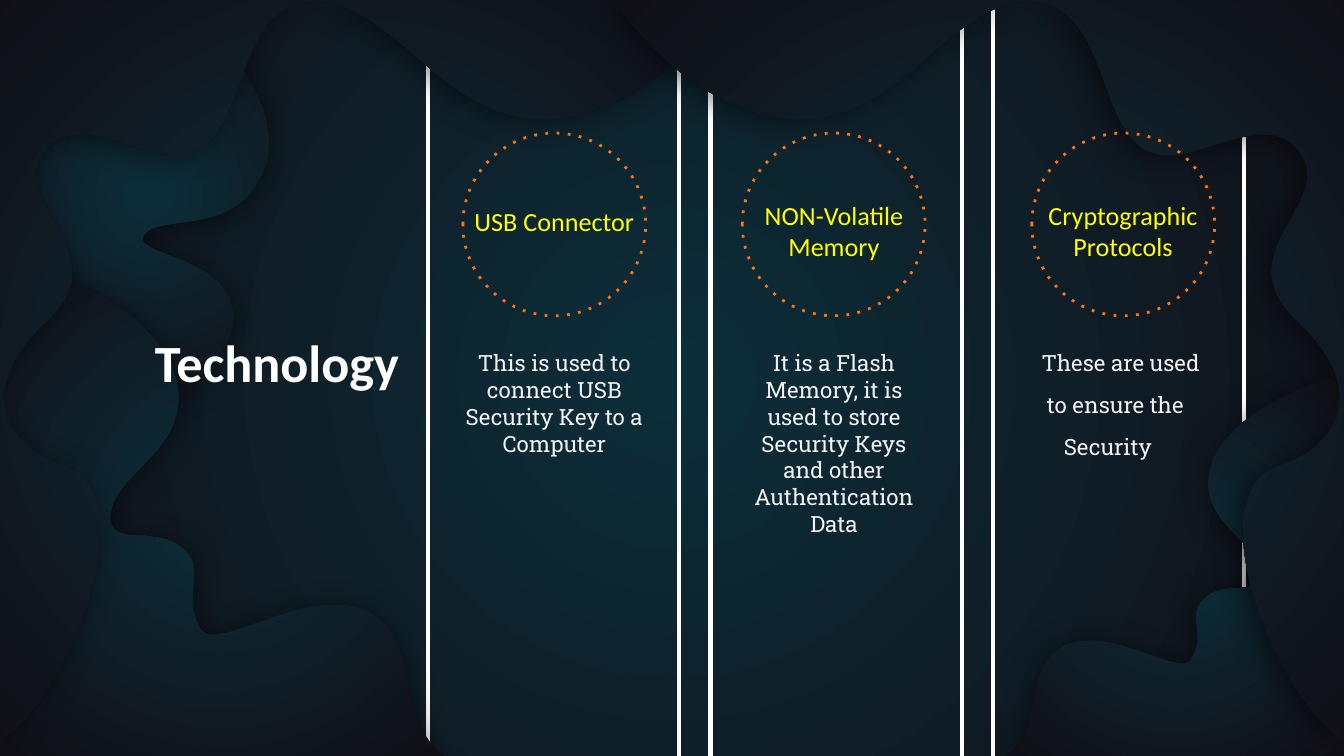
import pptx
import pptx.util
import pptx.dml.color
import pptx.enum.dml
import pptx.enum.shapes
import pptx.enum.text
import pptx.oxml
import pptx.oxml.ns
from dataclasses import dataclass

Pt = pptx.util.Pt
RGB = pptx.dml.color.RGBColor.from_string
qn = pptx.oxml.ns.qn
SPACE = pptx.oxml.ns.nsdecls("a")
KIND = pptx.enum.shapes.MSO_SHAPE
ALIGN = pptx.enum.text.PP_ALIGN
ANCHOR = pptx.enum.text.MSO_ANCHOR


@dataclass(frozen=True)
class Theme:
    teal: str = "0C2E3A"
    night: str = "110F16"
    white: str = "FFFFFF"
    pale: str = "F2F2F2"
    yellow: str = "FFFF00"
    orange: str = "FF7210"
    sans: str = "Calibri"
    slab: str = "Roboto Slab"
    title: int = 28
    head: int = 14
    body: int = 12


theme = Theme()
deck = pptx.Presentation()
deck.slide_width, deck.slide_height = Pt(720), Pt(405)
slide = deck.slides.add_slide(deck.slide_layouts[6])
shapes = slide.shapes


def fade(fill, node):
    """Fill with a round gradient, teal in the middle and dark outside."""
    fill.gradient()
    for stop, tint in zip(fill.gradient_stops, (theme.teal, theme.night)):
        stop.color.rgb = RGB(tint)
    line = next(node.iter(qn("a:lin")))
    line.getparent().replace(line, pptx.oxml.parse_xml(
        f'<a:path {SPACE} path="circle">'
        '<a:fillToRect l="50000" t="50000" r="50000" b="50000"/></a:path>'))


def write(place, lines, font, size, tint, anchor, align):
    """Add a text box with one paragraph per line."""
    box = shapes.add_textbox(*map(Pt, place))
    frame = box.text_frame
    frame.word_wrap = True
    frame.vertical_anchor = anchor
    frame.margin_left = frame.margin_right = Pt(5)
    frame.margin_top = frame.margin_bottom = Pt(3)
    frame.text = "\n".join(lines)
    for row, para in enumerate(frame.paragraphs):
        para.alignment = align
        if row:
            para.space_before = Pt(8)
        for run in para.runs:
            run.font.name, run.font.size = font, Pt(size)
            run.font.color.rgb = RGB(tint)
    return frame


# Background
fade(slide.background.fill, slide.element)

# Column panels
for col in range(3):
    panel = shapes.add_shape(KIND.RECTANGLE, Pt(229.4 + 151.2 * col), Pt(-3), Pt(134.6), Pt(410.4))
    panel.shadow.inherit = False
    panel.fill.background()
    panel.line.color.rgb = RGB(theme.white)
    panel.line.width = Pt(2.25)

# Wave outlines: one point is a line, three points are a curve
corner = [
    [(81, 0)], [(22, 36)], [(3, 128)],
    [(3, 128), (4, 132), (6, 137)], [(27, 144), (76, 162), (91, 194)],
    [(93, 199), (94, 204), (95, 209)], [(111, 201), (124, 187), (125, 171)],
    [(126, 137), (69, 137), (77, 126)], [(85, 114), (125, 127), (140, 94)],
    [(157, 61), (117, 17), (99, 0)]]
low = [
    [(-1, 135)], [(-1, 405)], [(238, 405)],
    [(212, 385), (225, 351), (205, 333)], [(197, 326), (189, 324), (179, 324)],
    [(155, 324), (128, 340), (114, 340)], [(111, 340), (108, 339), (107, 336)],
    [(96, 317), (114, 303), (94, 291)], [(91, 289), (85, 288), (78, 287)],
    [(66, 287), (54, 286), (61, 269)], [(69, 249), (109, 234), (91, 194)],
    [(74, 159), (17, 140), (-1, 135)]]
top = [
    [(-1, 0)], [(-1, 398)],
    [(41, 370), (77, 264), (36, 250)], [(2, 239), (-14, 209), (25, 172)],
    [(65, 135), (3, 108), (24, 81)], [(30, 74), (36, 72), (43, 72)],
    [(59, 72), (78, 83), (95, 83)], [(101, 83), (107, 81), (112, 76)],
    [(133, 54), (130, 1), (169, 1)], [(170, 1), (171, 1), (171, 1)],
    [(212, 3), (237, 64), (291, 64)], [(292, 64), (294, 64), (296, 64)],
    [(340, 60), (372, 27), (392, 0)]]

# Waves: outline, mirrored, scale, drop, shadow distance and angle
waves = [
    (corner, False, 1, 0, 1.5, 90),
    (low, False, 1, 0, 1.5, 90),
    (top, False, 1, 0, 3.8, 157),
    (low, True, 0.76, 97, 1.5, 90),
    (top, True, 1, 0, 3.8, 157)]
for parts, flip, scale, drop, gap, angle in waves:
    dots = [(Pt(720 - x * scale if flip else x * scale), Pt(drop + y * scale))
            for part in parts for x, y in part]
    pen = shapes.build_freeform(*dots[0])
    pen.add_line_segments(dots[1:], close=True)
    wave = pen.convert_to_shape()

    # Join each run of three segments into one curve
    legs = iter(list(wave.element.iter(qn("a:lnTo"))))
    for part in parts[1:]:
        group = [next(legs) for _ in part]
        if len(group) == 3:
            curve = pptx.oxml.parse_xml(f"<a:cubicBezTo {SPACE}/>")
            group[0].addprevious(curve)
            for leg in group:
                curve.append(leg[0])
                leg.getparent().remove(leg)

    fade(wave.fill, wave.element)
    wave.line.fill.background()
    wave.shadow.inherit = False
    next(wave.element.iter(qn("a:effectLst"))).append(pptx.oxml.parse_xml(
        f'<a:outerShdw {SPACE} blurRad="{Pt(15.8)}" dist="{Pt(gap)}" '
        f'dir="{angle * 60000}" algn="ctr" rotWithShape="0">'
        '<a:srgbClr val="000000"><a:alpha val="50000"/></a:srgbClr></a:outerShdw>'))

# Title
frame = write((78, 58.6, 150.5, 274.3), ["Technology"], theme.sans, theme.title,
              theme.white, ANCHOR.MIDDLE, ALIGN.LEFT)
frame.paragraphs[0].line_spacing = 0.9
frame.paragraphs[0].runs[0].font.bold = True

# Columns: heading, its place, body lines, body left, ring left
cols = [
    ("USB Connector", (229.7, 110.9, 134.6, 18.7),
     ["This is used to connect USB Security Key to a Computer"], 241.2, 248),
    ("NON-Volatile Memory", (393.5, 124.6, 106.6, 18.7),
     ["It is a Flash Memory, it is used to store Security Keys and other Authentication Data"],
     391, 397.7),
    ("Cryptographic Protocols", (548, 124.6, 107.3, 18.7),
     ["These are used", "to ensure the", "Security"], 539.3, 552.8)]
for head, place, lines, left, ring in cols:
    write(place, [head], theme.sans, theme.head, theme.yellow, ANCHOR.BOTTOM, ALIGN.CENTER)
    many = len(lines) > 1
    frame = write((left, 184, 111.6, 95), lines, theme.slab, theme.body, theme.pale,
                  ANCHOR.TOP, ALIGN.LEFT if many else ALIGN.CENTER)
    if many:
        for para, inset in zip(frame.paragraphs, (13.7, 16.6, 25.6)):
            para._p.get_or_add_pPr().set("marL", str(Pt(inset)))

# Dotted rings
for *_, ring in cols:
    oval = shapes.add_shape(KIND.OVAL, Pt(ring), Pt(71.3), Pt(97.9), Pt(97.9))
    oval.shadow.inherit = False
    oval.fill.background()
    oval.line.color.rgb = RGB(theme.orange)
    oval.line.width = Pt(1.5)
    oval.line.dash_style = pptx.enum.dml.MSO_LINE.ROUND_DOT
    next(oval.element.iter(qn("a:prstDash"))).set("val", "dot")

deck.save("out.pptx")
